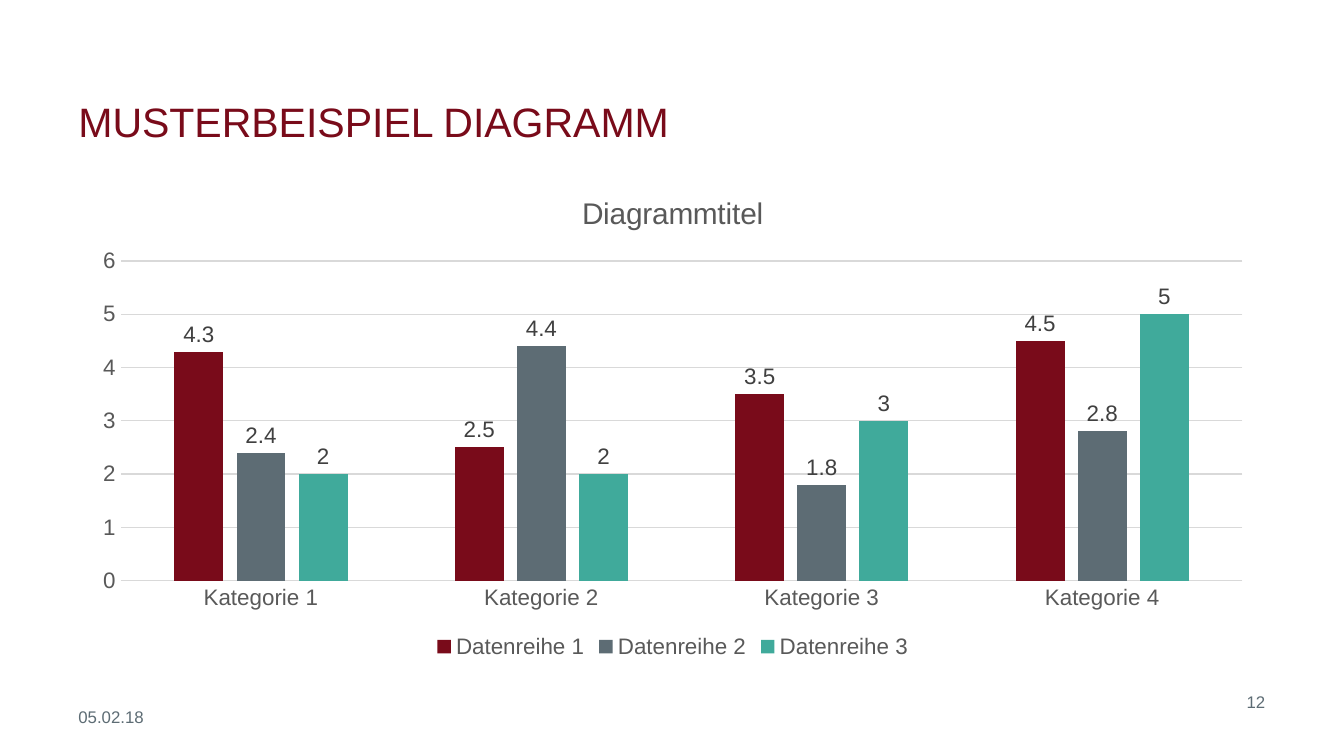
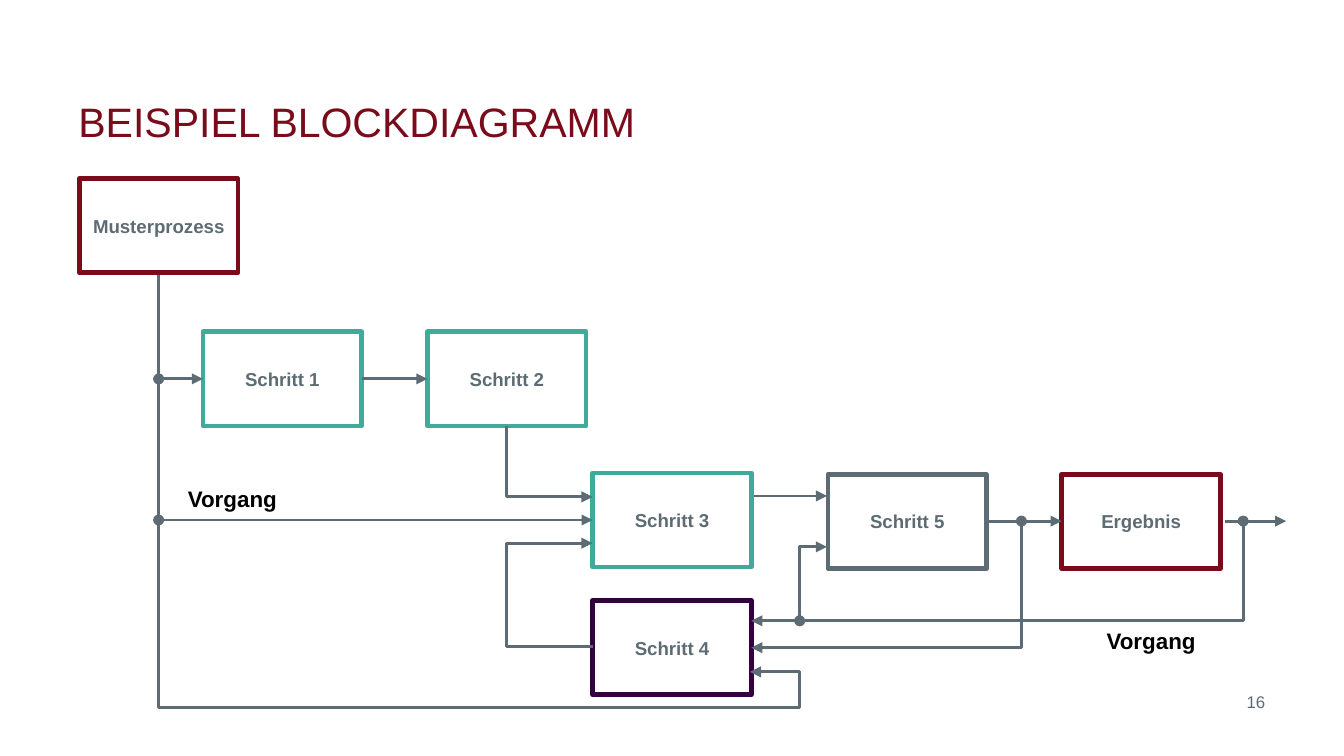
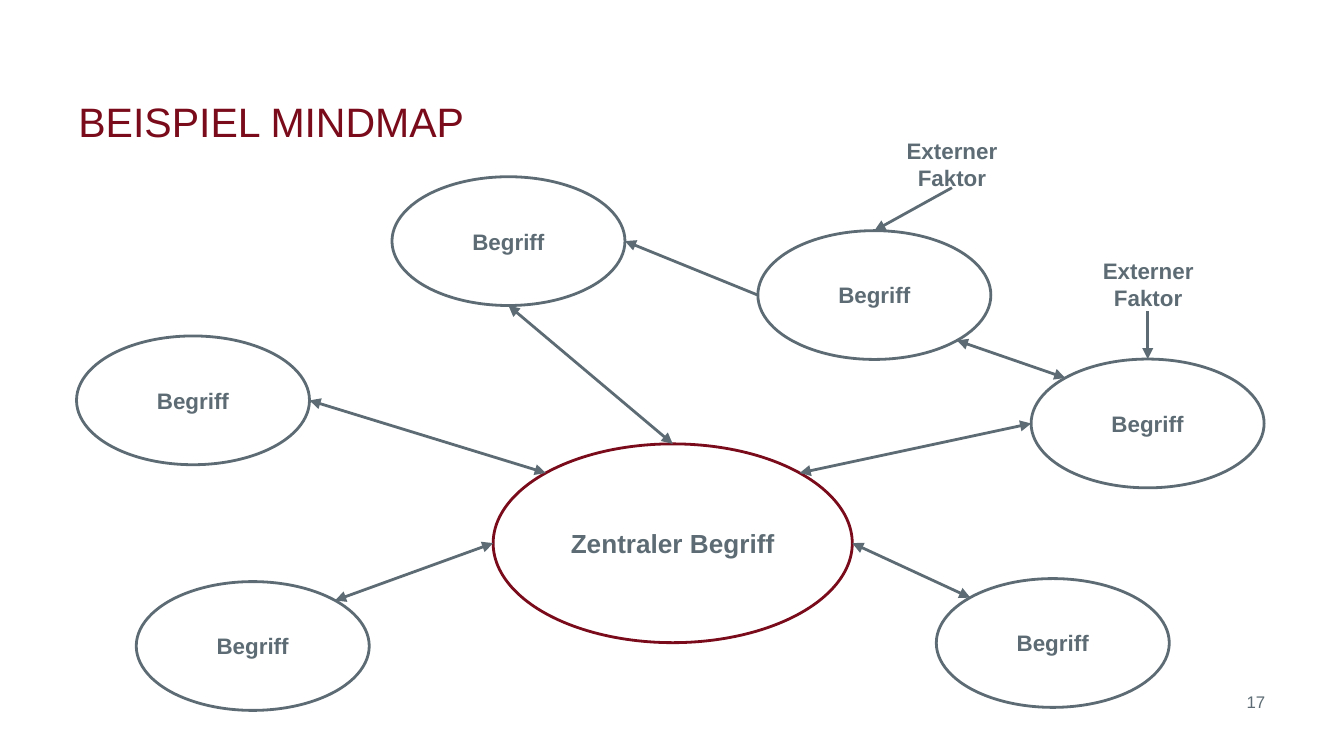
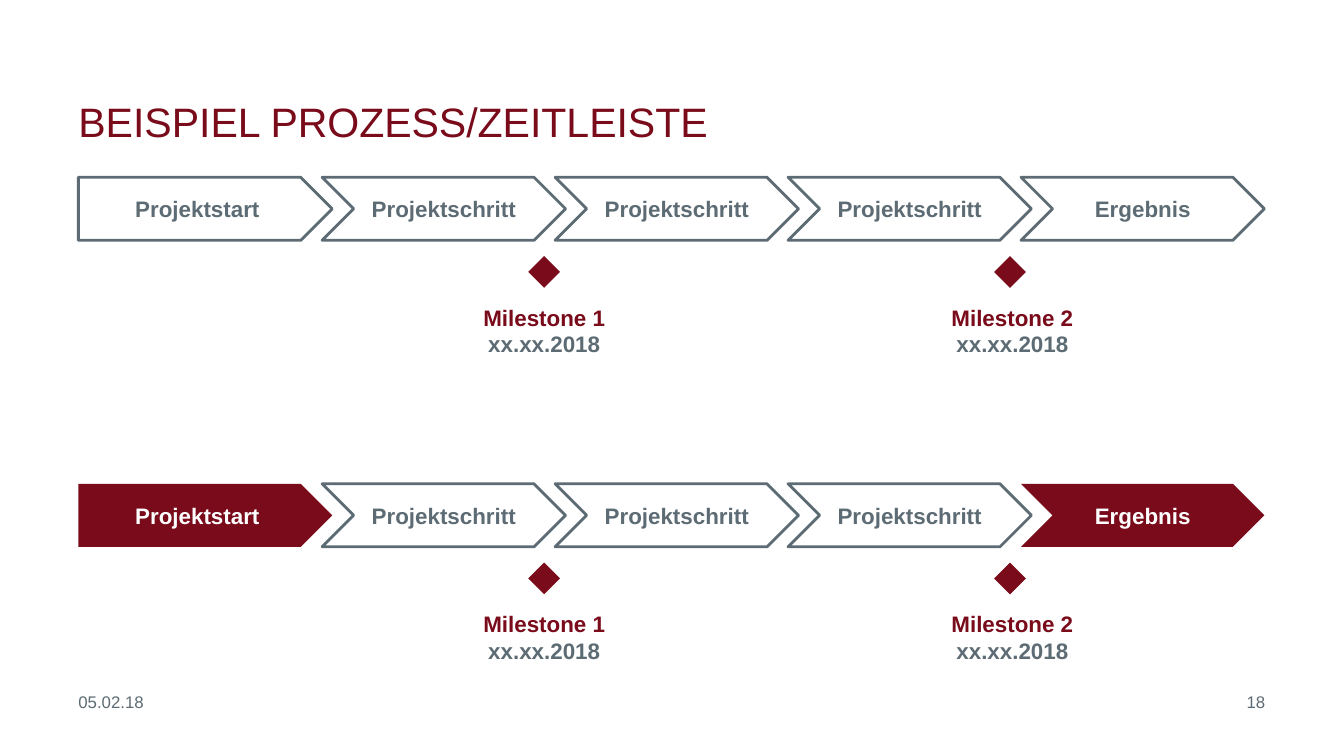
from lxml.etree import SubElement
from pptx import Presentation
from pptx.chart.data import CategoryChartData
from pptx.dml.color import RGBColor
from pptx.enum.chart import XL_CHART_TYPE, XL_LABEL_POSITION, XL_LEGEND_POSITION, XL_TICK_MARK
from pptx.enum.shapes import MSO_CONNECTOR, MSO_SHAPE
from pptx.enum.text import MSO_ANCHOR, PP_ALIGN
from pptx.oxml.ns import qn
from pptx.util import Pt

FONT = "Arial"
HEX = {
    "red": "790B1A",
    "slate": "5D6C74",
    "teal": "40AA9B",
    "violet": "330040",
    "black": "000000",
    "white": "FFFFFF",
    "axis": "595959",
    "label": "404040",
    "grid": "D9D9D9",
}
COLORS = {name: RGBColor.from_string(value) for name, value in HEX.items()}
LEFT = 42


def add_text(page, box, text, size=12, color="slate", bold=True, align=PP_ALIGN.CENTER,
             anchor=MSO_ANCHOR.MIDDLE, geometry=None, fill=None, line=None, line_width=1.5):
    """Add a text box, or a preset shape when a geometry is given; return its paragraph."""
    bounds = [Pt(length) for length in box]
    if geometry is None:
        shape = page.shapes.add_textbox(*bounds)
    else:
        shape = page.shapes.add_shape(geometry, *bounds)
        shape.shadow.inherit = False
        if fill:
            shape.fill.solid()
            shape.fill.fore_color.rgb = COLORS[fill]
        else:
            shape.fill.background()
        if line:
            shape.line.color.rgb = COLORS[line]
            shape.line.width = Pt(line_width)
        else:
            shape.line.fill.background()
    frame = shape.text_frame
    frame.word_wrap = True
    frame.vertical_anchor = anchor
    frame.margin_left = frame.margin_right = frame.margin_top = frame.margin_bottom = 0
    para = frame.paragraphs[0]
    para.text = text
    para.alignment = align
    para.font.name = FONT
    para.font.size = Pt(size)
    para.font.bold = bold
    para.font.color.rgb = COLORS[color]
    return para


def add_route(page, points, head="none", tail="triangle"):
    """Draw a straight connector, or an open polyline for more than two points."""
    corners = [(Pt(x), Pt(y)) for x, y in points]
    if len(corners) == 2:
        route = page.shapes.add_connector(MSO_CONNECTOR.STRAIGHT, *corners[0], *corners[1])
    else:
        builder = page.shapes.build_freeform(*corners[0])
        builder.add_line_segments(corners[1:], close=False)
        route = builder.convert_to_shape()
        route.fill.background()
    route.line.color.rgb = COLORS["slate"]
    route.line.width = Pt(1.5)
    properties = route._element.spPr
    outline = properties.find(qn("a:ln"))
    SubElement(outline, qn("a:headEnd"), type=head)
    SubElement(outline, qn("a:tailEnd"), type=tail)
    SubElement(properties, qn("a:effectLst"))


deck = Presentation()
deck.slide_width = Pt(720)
deck.slide_height = Pt(405)

# Titles, page numbers and dates
pages = []
for title, number, date_top in [
    ("MUSTERBEISPIEL DIAGRAMM", "12", 378.7),
    ("BEISPIEL BLOCKDIAGRAMM", "16", None),
    ("BEISPIEL MINDMAP", "17", None),
    ("BEISPIEL PROZESS/ZEITLEISTE", "18", 370.8),
]:
    page = deck.slides.add_slide(deck.slide_layouts[6])
    add_text(page, (LEFT, 21, 494, 57), title, 22, "red", False, PP_ALIGN.LEFT, MSO_ANCHOR.BOTTOM)
    add_text(page, (534.5, 370.8, 143.3, 14), number, 9, "slate", False,
             PP_ALIGN.RIGHT, MSO_ANCHOR.TOP)
    if date_top:
        add_text(page, (LEFT, date_top, 150, 14), "05.02.18", 9, "slate", False,
                 PP_ALIGN.LEFT, MSO_ANCHOR.TOP)
    pages.append(page)
chart_page, block_page, mindmap_page, timeline_page = pages

# Column chart
data = CategoryChartData()
data.categories = [f"Kategorie {number}" for number in range(1, 5)]
data.add_series("Datenreihe 1", (4.3, 2.5, 3.5, 4.5))
data.add_series("Datenreihe 2", (2.4, 4.4, 1.8, 2.8))
data.add_series("Datenreihe 3", (2, 2, 3, 5))
chart = chart_page.shapes.add_chart(XL_CHART_TYPE.COLUMN_CLUSTERED, Pt(42.5), Pt(92.2),
                                    Pt(635.8), Pt(263.5), data).chart
chart.font.name = FONT
chart.font.size = Pt(10)
chart.has_title = True
heading = chart.chart_title.text_frame.paragraphs[0]
heading.text = "Diagrammtitel"
chart.has_legend = True
chart.legend.position = XL_LEGEND_POSITION.BOTTOM
chart.legend.include_in_layout = False
value_axis, category_axis = chart.value_axis, chart.category_axis
for font, size in [(heading.font, 16), (chart.legend.font, 12),
                   (value_axis.tick_labels.font, 12), (category_axis.tick_labels.font, 12)]:
    font.name = FONT
    font.size = Pt(size)
    font.bold = False
    font.color.rgb = COLORS["axis"]
value_axis.minimum_scale, value_axis.maximum_scale, value_axis.major_unit = 0, 6, 1
value_axis.format.line.fill.background()
for axis in (value_axis, category_axis):
    axis.major_tick_mark = axis.minor_tick_mark = XL_TICK_MARK.NONE
for line in (value_axis.major_gridlines.format.line, category_axis.format.line):
    line.color.rgb = COLORS["grid"]
    line.width = Pt(0.75)
plot = chart.plots[0]
plot.gap_width = 219
plot.overlap = -27
plot.vary_by_categories = False
for series, color in zip(plot.series, ("red", "slate", "teal")):
    series.format.fill.solid()
    series.format.fill.fore_color.rgb = COLORS[color]
    labels = series.data_labels
    labels.show_value = True
    labels.position = XL_LABEL_POSITION.OUTSIDE_END
    labels.font.name = FONT
    labels.font.size = Pt(12)
    labels.font.color.rgb = COLORS["label"]

# Block diagram
for left, top, text, color in [
    (568.8, 254.2, "Ergebnis", "red"),
    (443.5, 254.2, "Schritt 5", "slate"),
    (42.5, 95.8, "Musterprozess", "red"),
    (108.7, 177.8, "Schritt 1", "teal"),
    (229, 177.8, "Schritt 2", "teal"),
    (317.5, 321.8, "Schritt 4", "violet"),
    (317.5, 253.4, "Schritt 3", "teal"),
]:
    add_text(block_page, (left, top, 85, 50.4), text, 10, geometry=MSO_SHAPE.RECTANGLE,
             fill="white", line=color, line_width=2.5)
for box in [(585.4, 332.6, 62.6, 20.9), (100, 260, 49, 13.7)]:
    add_text(block_page, box, "Vorgang", color="black")

trunk, loop, feedback = 85, 271.4, 428.4
main_row, step_row, return_row = 279.2, 203, 332.6
for points, head, tail in [
    ([(trunk, 278.6), (317.5, 278.6)], "oval", "triangle"),
    ([(trunk, step_row), (108.7, step_row)], "oval", "triangle"),
    ([(193.7, step_row), (229, step_row)], "none", "triangle"),
    ([(404, 265.7), (443, 265.7)], "none", "triangle"),
    ([(528.5, main_row), (568.8, main_row)], "none", "triangle"),
    ([(656, main_row), (689, main_row)], "none", "triangle"),
    ([(trunk, 147.6), (trunk, 379.2), (feedback, 379.2), (feedback, 360), (401.8, 360)],
     "none", "triangle"),
    ([(feedback, return_row), (feedback, 293), (443, 293)], "oval", "triangle"),
    ([(loop, 228.2), (loop, 266.2), (317.5, 266.2)], "none", "triangle"),
    ([(317.5, 291), (loop, 291), (loop, 346.3), (317.5, 346.3)], "triangle", "none"),
    ([(547.2, main_row), (547.2, 347), (402.5, 347)], "oval", "triangle"),
    ([(666, main_row), (666, return_row), (402.5, return_row)], "oval", "triangle"),
]:
    add_route(block_page, points, head, tail)

# Mind map
for left, top in [(474.5, 73.4), (579.6, 138)]:
    add_text(mindmap_page, (left, top, 71, 28), "Externer Faktor", anchor=MSO_ANCHOR.TOP)
add_text(mindmap_page, (264.2, 237.8, 192.4, 106.5), "Zentraler Begriff", 14,
         geometry=MSO_SHAPE.OVAL, line="red")
for left, top in [(41, 180), (210, 94.7), (552.4, 192.4), (406, 123.6), (501.6, 310), (73, 311.6)]:
    add_text(mindmap_page, (left, top, 124.8, 69), "Begriff", geometry=MSO_SHAPE.OVAL, line="slate")
for start, end, tail in [
    ((272.4, 163.7), (360.4, 237.8), "triangle"),
    ((552.4, 226.9), (428.4, 253.4), "triangle"),
    ((512.6, 182.4), (570.7, 202.5), "triangle"),
    ((456.6, 291), (519.8, 320.2), "triangle"),
    ((264.2, 291), (179.5, 321.7), "triangle"),
    ((334.8, 129.2), (406, 158.1), "none"),
    ((292.4, 253.4), (165.8, 214.5), "triangle"),
    ((468.4, 123.6), (510, 100.6), "none"),
    ((614.9, 192.4), (614.9, 166.5), "none"),
]:
    add_route(mindmap_page, [start, end], "triangle", tail)

# Timelines, the second with highlighted ends
steps = ["Projektstart"] + ["Projektschritt"] * 3 + ["Ergebnis"]
for top, highlighted in [(95, ()), (259.2, ("Projektstart", "Ergebnis"))]:
    for index, step in enumerate(steps):
        if index == 0:
            geometry, left, width = MSO_SHAPE.PENTAGON, LEFT, 136
        else:
            geometry, left, width = MSO_SHAPE.CHEVRON, 172.6 + (index - 1) * 124.8, 130.4
        if step in highlighted:
            style = {"color": "white", "fill": "red"}
        else:
            style = {"line": "slate"}
        add_text(timeline_page, (left, top, width, 33.8), step, geometry=geometry, **style)
    for number, diamond_left, caption_left in [(1, 283, 230.4), (2, 532.6, 481.2)]:
        diamond = timeline_page.shapes.add_shape(MSO_SHAPE.DIAMOND, Pt(diamond_left),
                                                 Pt(top + 42.2), Pt(17), Pt(17))
        diamond.shadow.inherit = False
        diamond.fill.solid()
        diamond.fill.fore_color.rgb = COLORS["red"]
        diamond.line.fill.background()
        caption = add_text(timeline_page, (caption_left, top + 67.7, 122.4, 28.8),
                           f"Milestone {number}\vxx.xx.2018", anchor=MSO_ANCHOR.TOP)
        caption.runs[0].font.color.rgb = COLORS["red"]

deck.save("out.pptx")
